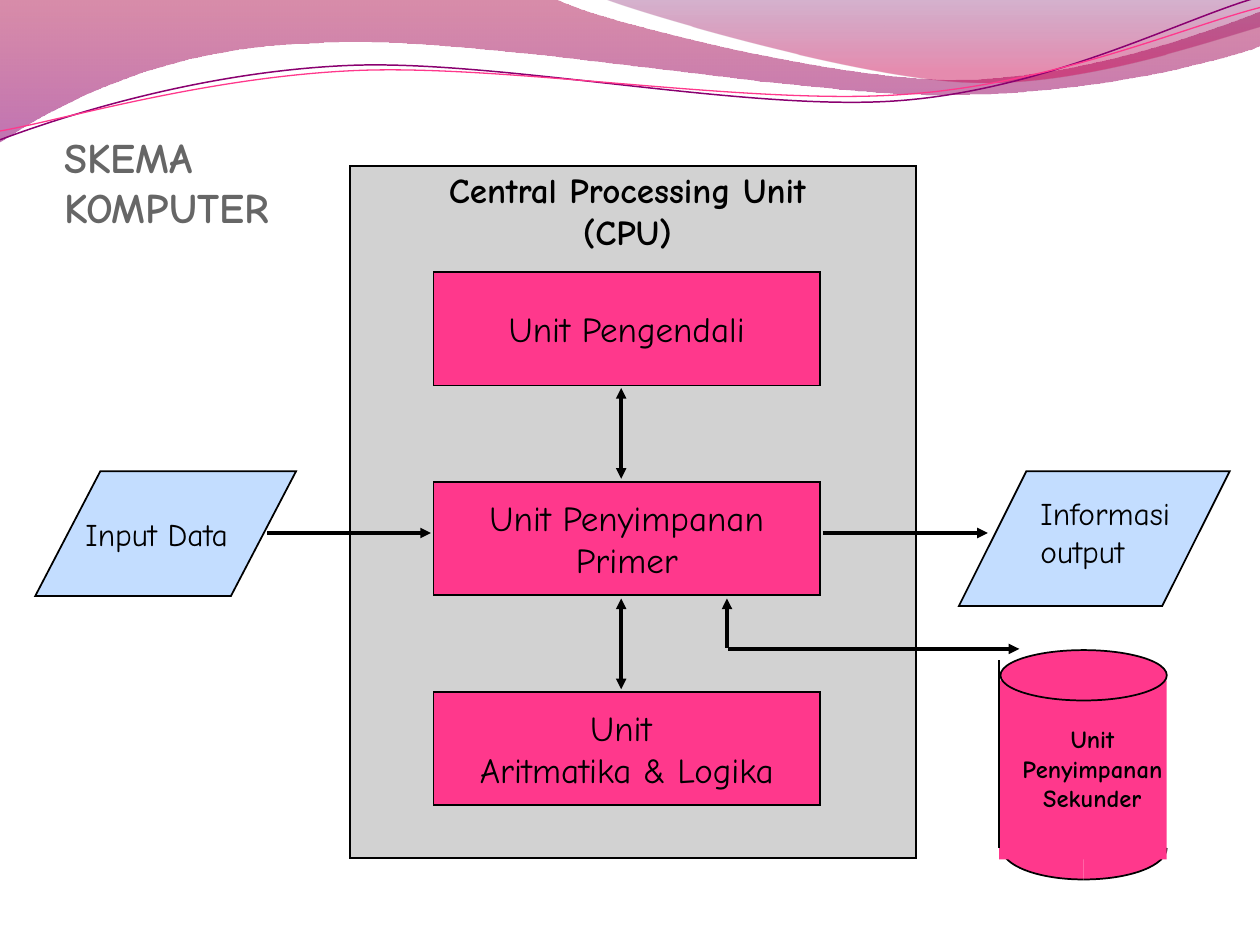
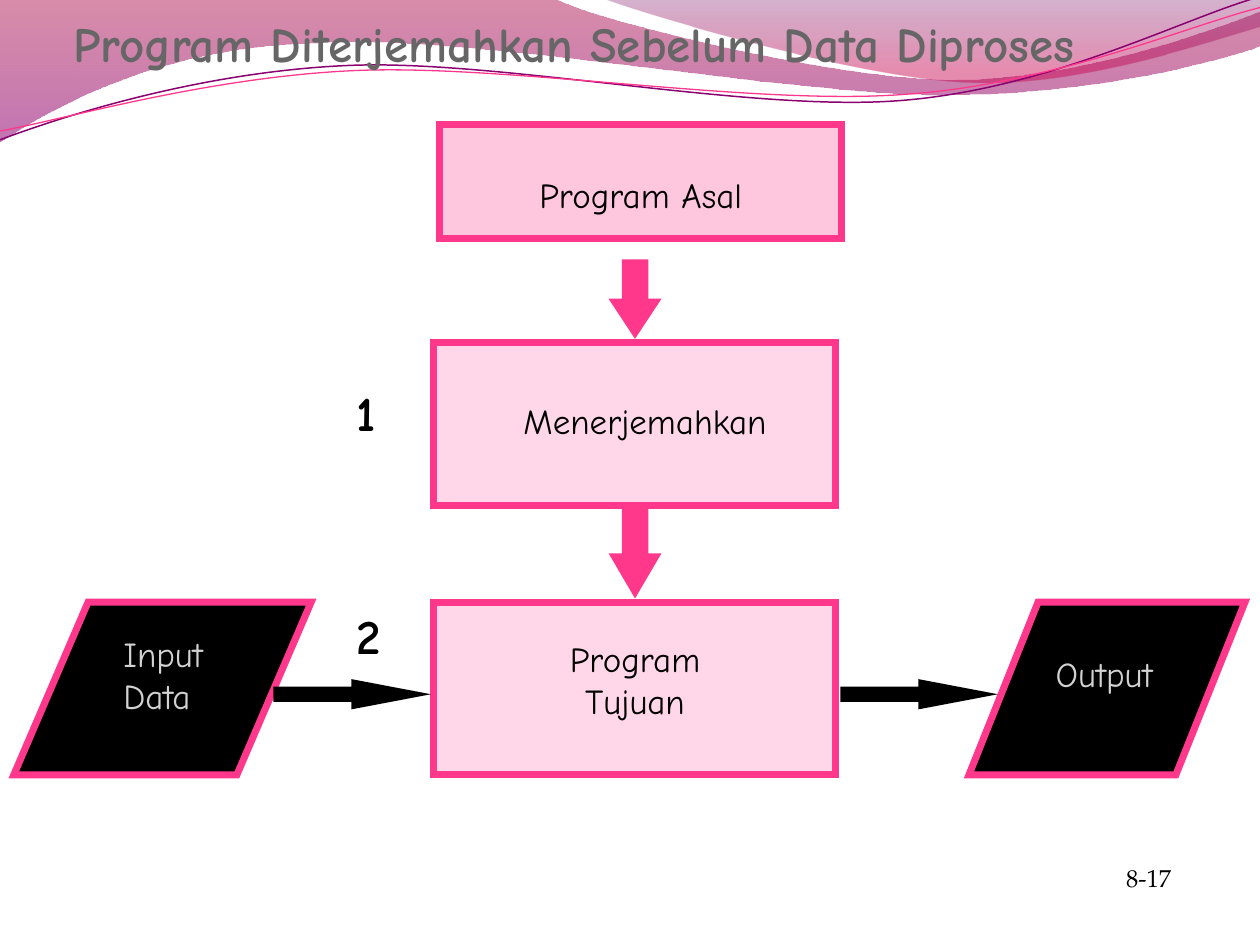
from copy import deepcopy
from lxml import etree
from pptx import Presentation
from pptx import util as u
from pptx.dml.color import RGBColor
from pptx.enum import shapes, text
from pptx.oxml.ns import qn

PINK, PALE, ROSE, SKY = "FF388C", "FFD7E8", "FFC7DD", "C3DDFF"
GREY, SILVER, BLACK = "666666", "D2D2D2", "000000"
FONT = "Comic Neue"
MSO, PP, ANCHOR = shapes.MSO_SHAPE, text.PP_ALIGN, text.MSO_ANCHOR
L, C = PP.LEFT, PP.CENTER


def rgb(value):
    """Turn a hex string into a colour."""
    return RGBColor.from_string(value)


def write(sp, lines, size, color=BLACK, bold=False, align=L, anchor=ANCHOR.TOP, font=FONT):
    """Fill a shape with one formatted paragraph per line."""
    tf = sp.text_frame
    frame = {"word_wrap": True, "auto_size": text.MSO_AUTO_SIZE.NONE, "vertical_anchor": anchor}
    for name, value in frame.items():
        setattr(tf, name, value)
    for i, line in enumerate(lines):
        p = tf.paragraphs[0] if i == 0 else tf.add_paragraph()
        p.alignment = align
        r = p.add_run()
        r.text = line
        for name, value in {"name": font, "size": u.Pt(size), "bold": bold}.items():
            setattr(r.font, name, value)
        r.font.color.rgb = rgb(color)


prs = Presentation()
prs.slide_width, prs.slide_height = u.Inches(10), u.Inches(7.5)
layout = prs.slide_layouts[5]
scheme, program = [prs.slides.add_slide(layout) for _ in range(2)]

# Outlines: start, then line ends (2 numbers) or Bezier curves (6).
# Gradient bands and wave lines go to the layout, the drum's bottom corners stay on the scheme.
outlines = [
    {"start": (0, 0), "stops": [(0, "A90042", 45), (1, "8E0073", 55)], "steps": [
        (4.4, -0.01), (4.76, 0.17, 6.64, 0.63, 7.58, 0.63), (8.53, 0.63, 9.58, 0.26, 10, 0.09),
        (10.01, 0.36), (9.83, 0.44, 8.7, 0.76, 7.46, 0.75), (6.22, 0.75, 3.82, 0.28, 2.57, 0.34),
        (1.29, 0.36, 0.46, 0.83, -0.01, 1.13)]},
    {"start": (4.79, -0.01), "stops": [(0, "73005E", 30), (0.8, "C9004F", 45)], "steps": [
        (5.09, 0.11, 6.82, 0.62, 7.69, 0.65), (8.56, 0.69, 9.61, 0.32, 10, 0.21), (10, 0)]},
    {"start": (0, 1.11), "line": ("8A0070", 0.85), "steps": [
        (0.48, 0.93, 1.58, 0.57, 2.77, 0.52), (3.95, 0.47, 5.93, 0.89, 7.13, 0.8),
        (8.33, 0.71, 9.38, 0.15, 9.98, -0.02)]},
    {"start": (0, 1.04), "line": (PINK, 0.75), "steps": [
        (0.47, 0.96, 1.64, 0.61, 2.83, 0.56), (4.03, 0.51, 5.97, 0.84, 7.17, 0.75),
        (8.36, 0.67, 9.41, 0.21, 10, 0.06)]},
    {"start": (9.26, 6.73), "fill": PINK, "line": (BLACK, 1), "steps": [
        (9.26, 6.87, 8.97, 6.98, 8.6, 6.98), (8.6, 6.73)]},
    {"start": (8.6, 6.98), "fill": PINK, "line": (BLACK, 1), "steps": [
        (8.24, 6.98, 7.95, 6.87, 7.95, 6.73), (8.6, 6.73)]},
]
for outline in outlines:
    points = []
    for step in [outline["start"]] + outline["steps"]:
        points += [(u.Inches(x), u.Inches(y)) for x, y in zip(step[::2], step[1::2])]
    builder = scheme.shapes.build_freeform(*points[0])
    builder.add_line_segments(points[1:], close="stops" in outline or "fill" in outline)
    sp = builder.convert_to_shape()
    sp.shadow.inherit = False

    # Join each three control points into one curve
    contour = next(sp._element.iter(qn("a:path")))
    segments = iter(contour.findall(qn("a:lnTo")))
    for step in outline["steps"]:
        segment = next(segments)
        if len(step) == 6:
            segment.tag = qn("a:cubicBezTo")
            for _ in range(2):
                control = next(segments)
                segment.append(control[0])
                contour.remove(control)

    if "stops" in outline:
        sp.fill.gradient()
        sp.fill.gradient_angle = 270
        for stop, (position, color, _) in zip(sp.fill.gradient_stops, outline["stops"]):
            stop.position = position
            stop.color.rgb = rgb(color)
        for node, (_, _, opacity) in zip(sp._element.spPr.iter(qn("a:srgbClr")), outline["stops"]):
            etree.SubElement(node, qn("a:alpha")).set("val", str(opacity * 1000))
    elif "fill" in outline:
        sp.fill.solid()
        sp.fill.fore_color.rgb = rgb(outline["fill"])
        arc = deepcopy(contour)  # only the arc is stroked
        for extra in arc[2:]:
            arc.remove(extra)
        arc.set("fill", "none")
        contour.set("stroke", "0")
        contour.addnext(arc)
    else:
        sp.fill.background()

    if "line" in outline:
        sp.line.color.rgb = rgb(outline["line"][0])
        sp.line.width = u.Pt(outline["line"][1])
    else:
        sp.line.fill.background()
    if "fill" not in outline:
        layout.shapes._spTree.append(sp._element)

# Titles
for s, box, lines, size in [
    (scheme, (0.41, 0.99, 2.04, 0.9), ["SKEMA", "KOMPUTER"], 24),
    (program, (0.48, 0.06, 9.13, 0.56), ["Program Diterjemahkan Sebelum Data Diproses"], 28),
]:
    sp = s.shapes.title
    sp.left, sp.top, sp.width, sp.height = map(u.Inches, box)
    write(sp, lines, size, GREY, True)

# Shapes: slide, kind, box, adjustments, fill, line width, text
units = [["Unit Pengendali"], ["Unit Penyimpanan", "Primer"], ["Unit ", "Aritmatika & Logika"]]
blocks = [(scheme, MSO.RECTANGLE, (2.78, 1.32, 4.49, 5.49), [], SILVER, 1, [])]
for i, lines in enumerate(units):
    blocks.append((scheme, MSO.RECTANGLE, (3.44, 2.16 + i * 1.665, 3.07, 0.9), [], PINK, 1, lines))
blocks += [
    (scheme, MSO.PARALLELOGRAM, (0.28, 3.74, 2.07, 0.99), [0.522], SKY, 1, []),
    (scheme, MSO.PARALLELOGRAM, (7.61, 3.74, 2.15, 1.07), [0.501], SKY, 1, []),
    # secondary storage drum: side, top
    (scheme, MSO.RECTANGLE, (7.93, 5.4, 1.33, 1.42), [], PINK, 0, []),
    (scheme, MSO.OVAL, (7.94, 5.16, 1.32, 0.4), [], PINK, 1, []),
    (program, MSO.RECTANGLE, (3.44, 2.72, 3.19, 1.29), [], PALE, 4, []),
    (program, MSO.RECTANGLE, (3.49, 0.99, 3.19, 0.9), [], ROSE, 4, []),
    (program, MSO.DOWN_ARROW, (4.83, 2.06, 0.42, 0.63), [0.5, 0.758], PINK, 0, []),
    (program, MSO.DOWN_ARROW, (4.83, 4.04, 0.42, 0.71), [0.5, 0.854], PINK, 0, []),
    (program, MSO.RECTANGLE, (3.44, 4.78, 3.19, 1.37), [], PALE, 4, []),
    (program, MSO.PARALLELOGRAM, (7.69, 4.78, 2.19, 1.37), [0.4], BLACK, 4, []),
    (program, MSO.PARALLELOGRAM, (0.11, 4.78, 2.36, 1.37), [0.43], BLACK, 4, []),
    (program, MSO.RIGHT_ARROW, (2.17, 5.39, 1.25, 0.24), [0.5, 2.628], BLACK, 0, []),
    (program, MSO.RIGHT_ARROW, (6.67, 5.39, 1.25, 0.24), [0.5, 2.628], BLACK, 0, []),
    # black backing of the input label
    (program, MSO.RECTANGLE, (0.69, 5.05, 0.3, 0.51), [], BLACK, 0, []),
    (program, MSO.RECTANGLE, (1.04, 5.06, 0.76, 0.86), [], BLACK, 0, []),
]
for s, kind, box, adjustments, fill, width, lines in blocks:
    sp = s.shapes.add_shape(kind, *map(u.Inches, box))
    sp.shadow.inherit = False
    for i, value in enumerate(adjustments):
        sp.adjustments[i] = value
    sp.fill.solid()
    sp.fill.fore_color.rgb = rgb(fill)
    if width:
        sp.line.color.rgb = rgb(BLACK if s is scheme else PINK)
        sp.line.width = u.Pt(width)
        etree.SubElement(sp.line._get_or_add_ln(), qn("a:miter")).set("lim", "800000")
    else:
        sp.line.fill.background()
    if lines:
        write(sp, lines, 20, align=C, anchor=ANCHOR.MIDDLE)

# Lines of the computer scheme: ends, width, arrowheads
for ends, width, heads in [
    ((4.93, 3.08, 4.93, 3.8), 2, ["headEnd", "tailEnd"]),
    ((4.93, 4.75, 4.93, 5.47), 2, ["headEnd", "tailEnd"]),
    ((2.12, 4.23, 3.42, 4.23), 2, ["tailEnd"]),
    ((6.53, 4.23, 7.84, 4.23), 2, ["tailEnd"]),
    ((5.77, 4.75, 5.77, 5.14), 2, ["headEnd"]),
    ((5.78, 5.15, 8.09, 5.15), 2, ["tailEnd"]),
    ((7.93, 5.24, 7.93, 6.73), 1, []),
]:
    line = scheme.shapes.add_connector(shapes.MSO_CONNECTOR.STRAIGHT, *map(u.Inches, ends))
    line.line.color.rgb = rgb(BLACK)
    line.line.width = u.Pt(width)
    for head in heads:
        etree.SubElement(line.line._get_or_add_ln(), qn("a:" + head)).set("type", "triangle")
    etree.SubElement(line._element.spPr, qn("a:effectLst"))

# Labels; silver ones sit on black
for s, box, lines, size, fmt in [
    (scheme, (3.3, 1.29, 3.36, 0.77), ["Central Processing Unit", "(CPU)"], 20,
     {"bold": True, "align": C}),
    (scheme, (0.58, 4.04, 1.49, 0.4), ["Input Data"], 18, {}),
    (scheme, (8.16, 3.87, 1.34, 0.7), ["Informasi", "output"], 18, {}),
    (scheme, (7.84, 5.7, 1.66, 0.81), ["Unit", "Penyimpanan", "Sekunder"], 14,
     {"bold": True, "align": C}),
    (program, (3.58, 1.33, 3.01, 0.44), ["Program Asal"], 20, {"align": C}),
    (program, (8.28, 5.13, 1.12, 0.43), ["Output"], 20, {"color": SILVER}),
    (program, (0.88, 4.97, 0.92, 0.76), ["Input", "Data"], 20, {"color": SILVER}),
    (program, (2.73, 2.99, 0.44, 0.56), ["1"], 28, {"bold": True}),
    (program, (2.73, 4.76, 0.46, 0.56), ["2"], 28, {"bold": True}),
    (program, (8.84, 6.8, 0.6, 0.33), ["8-17"], 14,
     {"font": "TeX Gyre Pagella", "anchor": ANCHOR.MIDDLE}),
    (program, (3.74, 3.12, 2.76, 0.44), ["Menerjemahkan"], 20, {"align": C}),
    (program, (3.82, 5.01, 2.44, 1.11), ["Program", "Tujuan"], 20, {"align": C}),
]:
    sp = s.shapes.add_textbox(*map(u.Inches, box))
    if fmt.get("color") == SILVER:
        sp.fill.solid()
        sp.fill.fore_color.rgb = rgb(BLACK)
    write(sp, lines, size, **fmt)

prs.save("out.pptx")
